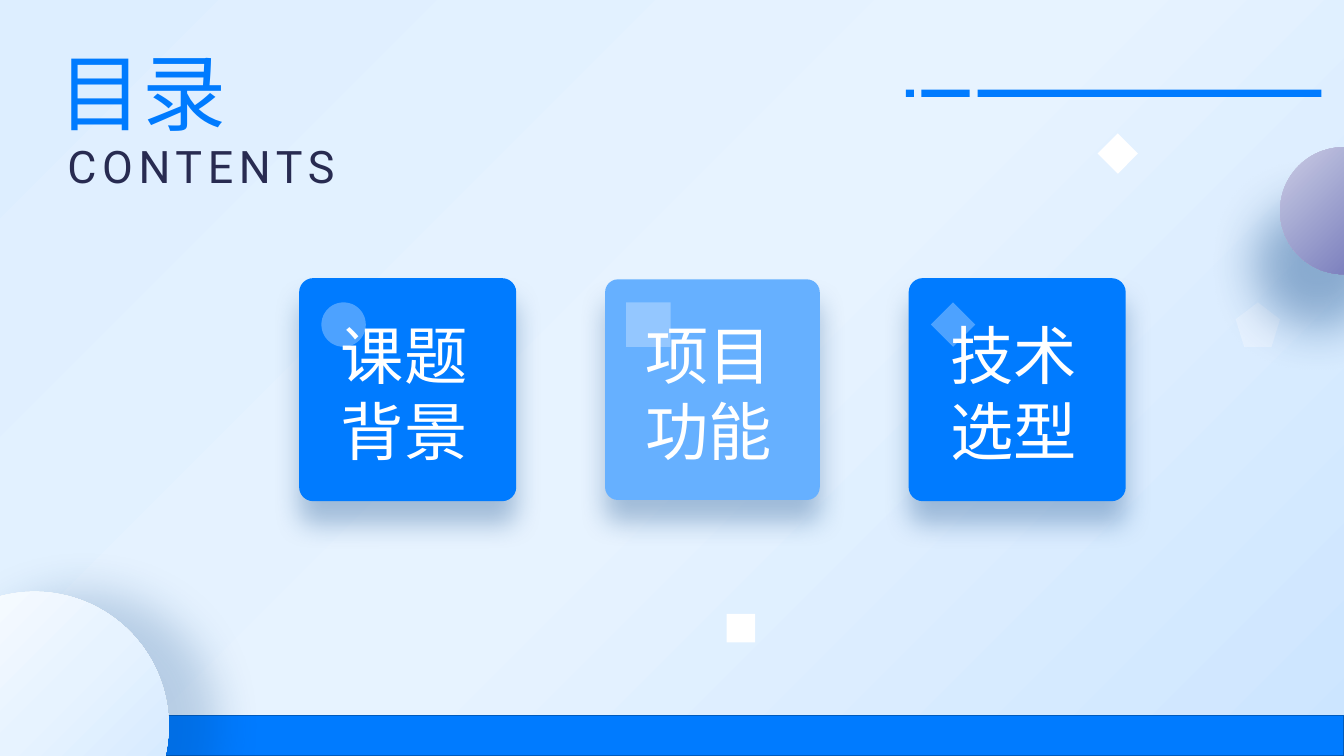
from lxml.etree import SubElement
from pptx import Presentation
from pptx.dml.color import RGBColor
from pptx.enum.shapes import MSO_SHAPE
from pptx.enum.text import MSO_ANCHOR, PP_ALIGN
from pptx.oxml.ns import qn
from pptx.util import Cm, Pt

COLORS = {
    "blue": "007BFF", "light_blue": "66B0FF", "bar_line": "005BBD",
    "navy": "282B51", "white": "FFFFFF", "shadow": "003D80",
}
BACKGROUND_STOPS = [(0, "DDEEFF"), (52, "E7F3FF"), (100, "CCE5FF")]
WHITE_BALL_STOPS = [(0, "FFFFFF"), (49, "E7F3FF"), (100, "CCE5FF")]
PURPLE_BALL_STOPS = [(0, "CBCDE5"), (100, "6369B2")]
FONT = "Roboto"

TITLE, SUBTITLE = "目录", "CONTENTS"
# paragraphs, card colour, outlined, icon
CARDS = [
    (["课题", "背景"], "blue", True, MSO_SHAPE.OVAL),
    (["项目功能"], "light_blue", False, MSO_SHAPE.RECTANGLE),
    (["技术选型"], "blue", True, MSO_SHAPE.DIAMOND),
]
# left and width in cm
RULE_DASHES = [(22.83, 0.2), (23.22, 1.22), (24.64, 8.66)]

# All lengths in cm
CARD_LEFT, CARD_TOP, CARD_WIDTH, CARD_HEIGHT = 7.57, 7.04, 5.41, 5.56
CARD_PITCH = 7.68
ICON_SIZE, ICON_TOP = 1.12, 7.62
# blur pt, distance pt, direction degrees, opacity percent
CARD_SHADOW = (19, 16, 90, 30)
WHITE_BALL_SHADOW = (32, 35, 0, 20)
PURPLE_BALL_SHADOW = (35, 43, 115, 36)


def add_shape(kind, left, top, width, height, color=None, opacity=100):
    shape = slide.shapes.add_shape(kind, Cm(left), Cm(top), Cm(width), Cm(height))
    shape.shadow.inherit = False
    shape.line.fill.background()
    if color:
        shape.fill.solid()
        shape.fill.fore_color.rgb = RGBColor.from_string(COLORS[color])
    if opacity < 100:
        tint = shape.element.spPr.find(f"{qn('a:solidFill')}/{qn('a:srgbClr')}")
        SubElement(tint, qn("a:alpha"), val=str(opacity * 1000))
    return shape


def set_line(shape, color, width):
    shape.line.color.rgb = RGBColor.from_string(COLORS[color])
    shape.line.width = Pt(width)


def set_gradient(fill, element, stops):
    """Give the fill held in element a diagonal gradient with any number of stops."""
    fill.gradient()
    fill.gradient_angle = 315
    stop_list = element.find(f".//{qn('a:gsLst')}")
    for stop in list(stop_list):
        stop_list.remove(stop)
    for position, color in stops:
        stop = SubElement(stop_list, qn("a:gs"), pos=str(position * 1000))
        SubElement(stop, qn("a:srgbClr"), val=color)


def set_shadow(shape, blur, distance, direction, opacity):
    effects = shape.element.spPr.find(qn("a:effectLst"))
    shadow = SubElement(
        effects, qn("a:outerShdw"), blurRad=str(Pt(blur)), dist=str(Pt(distance)),
        dir=str(direction * 60000), algn="ctr", rotWithShape="0")
    color = SubElement(shadow, qn("a:srgbClr"), val=COLORS["shadow"])
    SubElement(color, qn("a:alpha"), val=str(opacity * 1000))


def write_text(shape, lines, size, color, wrap=True, anchor=MSO_ANCHOR.TOP):
    frame = shape.text_frame
    frame.text = "\n".join(lines)
    frame.word_wrap = wrap
    frame.vertical_anchor = anchor
    for paragraph in frame.paragraphs:
        paragraph.alignment = PP_ALIGN.LEFT
        paragraph.line_spacing = 1.0
        paragraph.font.size = Pt(size)
        paragraph.font.name = FONT
        paragraph.font.color.rgb = RGBColor.from_string(COLORS[color])


def add_text_box(left, top, width, height):
    return slide.shapes.add_textbox(Cm(left), Cm(top), Cm(width), Cm(height))


def add_heading():
    title = slide.shapes.title
    title.left, title.top, title.width, title.height = Cm(1.22), Cm(0.89), Cm(4.78), Cm(2.82)
    write_text(title, [TITLE], 60, "blue", wrap=False)

    subtitle = add_text_box(1.7, 3.33, 7.6, 1.68)
    subtitle.text_frame.margin_left = 0
    write_text(subtitle, [SUBTITLE], 32, "navy", wrap=False, anchor=MSO_ANCHOR.MIDDLE)
    letters = subtitle.text_frame.paragraphs[0].runs[0]
    letters._r.get_or_add_rPr().set("spc", "400")

    for left, width in RULE_DASHES:
        add_shape(MSO_SHAPE.RECTANGLE, left, 2.26, width, 0.18, "blue")


def add_card(left, lines, color, outlined, icon):
    card = add_shape(MSO_SHAPE.ROUNDED_RECTANGLE, left, CARD_TOP, CARD_WIDTH, CARD_HEIGHT, color)
    card.adjustments[0] = 0.06
    if outlined:
        set_line(card, color, 1.7)
    set_shadow(card, *CARD_SHADOW)
    add_shape(icon, left + 0.53, ICON_TOP, ICON_SIZE, ICON_SIZE, "white", 30)
    label = add_text_box(left + 0.74, CARD_TOP + 0.78, 3.96, 4.17)
    frame = label.text_frame
    frame.margin_left = frame.margin_right = Cm(0.28)
    frame.margin_top = frame.margin_bottom = Cm(0.15)
    write_text(label, lines, 45.2, "white")


def add_ball(left, top, size, stops, shadow):
    ball = add_shape(MSO_SHAPE.OVAL, left, top, size, size)
    set_gradient(ball.fill, ball.element, stops)
    set_shadow(ball, *shadow)


presentation = Presentation()
presentation.slide_width, presentation.slide_height = Cm(33.87), Cm(19.05)
slide = presentation.slides.add_slide(presentation.slide_layouts[5])
set_gradient(slide.background.fill, slide.element, BACKGROUND_STOPS)

add_shape(MSO_SHAPE.RECTANGLE, 18.31, 15.47, 0.72, 0.72, "white")
add_shape(MSO_SHAPE.RECTANGLE, 27.81, 3.51, 0.72, 0.72, "white").rotation = 45
add_heading()
for index, card_content in enumerate(CARDS):
    add_card(CARD_LEFT + index * CARD_PITCH, *card_content)
add_shape(MSO_SHAPE.REGULAR_PENTAGON, 31.14, ICON_TOP, ICON_SIZE, ICON_SIZE, "white", 30)
bottom_bar = add_shape(MSO_SHAPE.RECTANGLE, 0, 18.03, 33.87, 1.02, "blue")
set_line(bottom_bar, "bar_line", 1)
add_ball(-2.51, 14.91, 6.76, WHITE_BALL_STOPS, WHITE_BALL_SHADOW)
add_ball(32.26, 3.71, 3.2, PURPLE_BALL_STOPS, PURPLE_BALL_SHADOW)

presentation.save("out.pptx")
